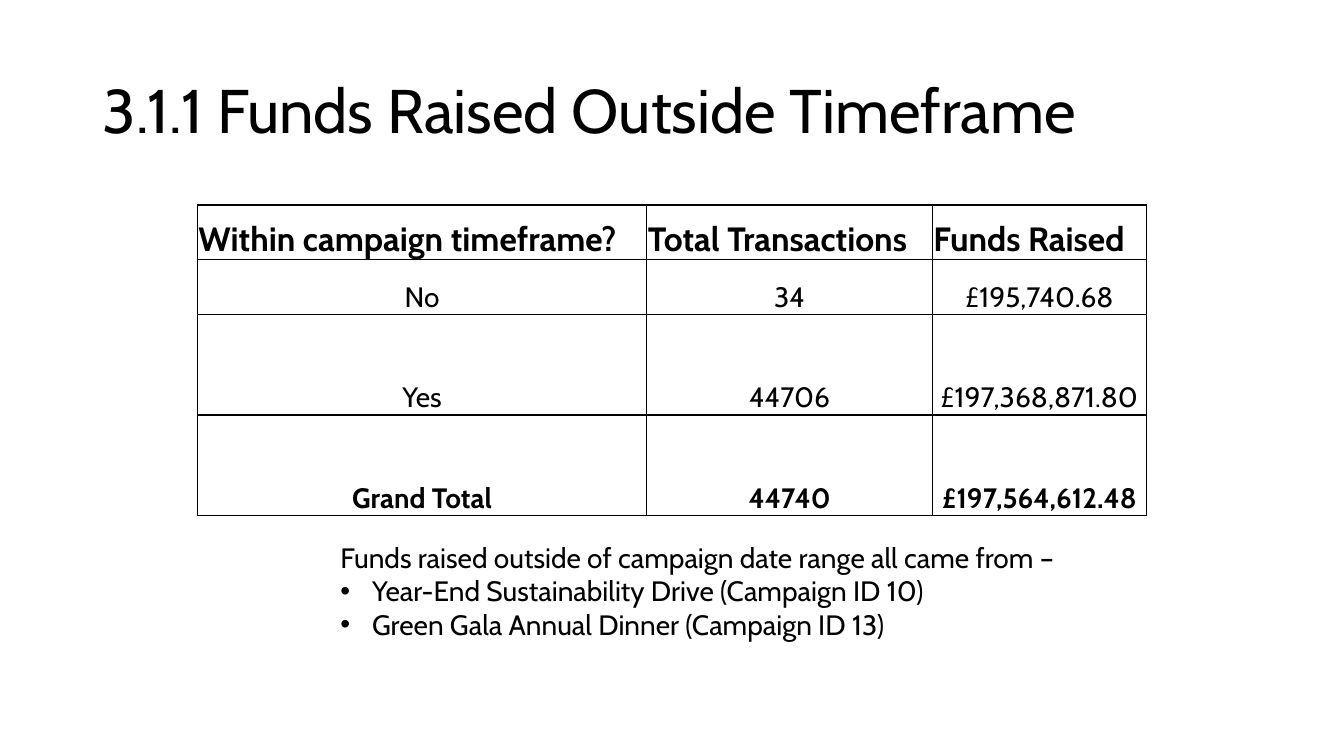
from lxml.etree import SubElement
from pptx import Presentation
from pptx.dml.color import RGBColor
from pptx.enum.text import MSO_ANCHOR, MSO_AUTO_SIZE, PP_ALIGN
from pptx.oxml.ns import qn
from pptx.util import Pt

# Content
TITLE = "3.1.1 Funds Raised Outside Timeframe"
FUNDS = [
    ("Within campaign timeframe?", "Total Transactions", "Funds Raised"),
    ("No", "34", "£195,740.68"),
    ("Yes", "44706", "£197,368,871.80"),
    ("Grand Total", "44740", "£197,564,612.48"),
]
NOTE = "Funds raised outside of campaign date range all came from –"
CAMPAIGNS = [
    "Year-End Sustainability Drive (Campaign ID 10)",
    "Green Gala Annual Dinner (Campaign ID 13)",
]

# Style and layout, in points
FONT = "Cabin"
BLACK = RGBColor(0, 0, 0)
WHITE = RGBColor(255, 255, 255)
COLUMN_WIDTHS = [321, 204, 153]
ROW_HEIGHTS = [39, 39, 72, 72]
TABLE_LEFT, TABLE_TOP = 141, 146.5
BULLET_INDENT = 22.5


def style(paragraph, size, bold=False):
    font = paragraph.font
    font.name, font.size, font.bold = FONT, Pt(size), bold
    font.color.rgb = BLACK


def place(shape, left, top, width, height):
    shape.left, shape.top = Pt(left), Pt(top)
    shape.width, shape.height = Pt(width), Pt(height)
    shape.text_frame.auto_size = MSO_AUTO_SIZE.NONE
    shape.text_frame.word_wrap = True


def add_borders(cell):
    properties = cell._tc.get_or_add_tcPr()
    for side in ("lnL", "lnR", "lnT", "lnB"):
        line = SubElement(properties, qn("a:" + side), w=str(Pt(1)))
        fill = SubElement(line, qn("a:solidFill"))
        SubElement(fill, qn("a:srgbClr"), val=str(BLACK))


presentation = Presentation()
presentation.slide_width, presentation.slide_height = Pt(960), Pt(540)
slide = presentation.slides.add_slide(presentation.slide_layouts[1])

# Title
title = slide.shapes.title
place(title, 66, 28.75, 828, 104.4)
title.text_frame.text = TITLE
title.text_frame.vertical_anchor = MSO_ANCHOR.MIDDLE
heading = title.text_frame.paragraphs[0]
heading.alignment = PP_ALIGN.LEFT
heading.line_spacing = 0.9
style(heading, 44)

# Funds table
table = slide.shapes.add_table(
    len(FUNDS), len(COLUMN_WIDTHS), Pt(TABLE_LEFT), Pt(TABLE_TOP),
    Pt(sum(COLUMN_WIDTHS)), Pt(sum(ROW_HEIGHTS))).table
for column, width in zip(table.columns, COLUMN_WIDTHS):
    column.width = Pt(width)
for row, height in zip(table.rows, ROW_HEIGHTS):
    row.height = Pt(height)

for row_index, values in enumerate(FUNDS):
    is_header = row_index == 0
    is_total = row_index == len(FUNDS) - 1
    for column_index, value in enumerate(values):
        cell = table.cell(row_index, column_index)
        add_borders(cell)
        cell.fill.solid()
        cell.fill.fore_color.rgb = WHITE
        cell.margin_left = cell.margin_right = cell.margin_top = Pt(0.75)
        cell.margin_bottom = Pt(0)
        cell.vertical_anchor = MSO_ANCHOR.BOTTOM
        cell.text = value
        paragraph = cell.text_frame.paragraphs[0]
        paragraph.alignment = PP_ALIGN.LEFT if is_header else PP_ALIGN.CENTER
        style(paragraph, 24 if is_header else 20, is_header or is_total)

# Note with the campaign list
body = slide.placeholders[1]
place(body, 236, 382.3, 541, 101.5)
body.text_frame.text = "\n".join([NOTE, *CAMPAIGNS])
for index, paragraph in enumerate(body.text_frame.paragraphs):
    is_bullet = index > 0
    paragraph.space_before = Pt(0)
    properties = paragraph._p.get_or_add_pPr()
    properties.set("marL", str(Pt(BULLET_INDENT if is_bullet else 0)))
    properties.set("indent", str(Pt(-BULLET_INDENT if is_bullet else 0)))
    if is_bullet:
        SubElement(properties, qn("a:buFont"), typeface="Arial")
        SubElement(properties, qn("a:buChar"), char="•")
    else:
        SubElement(properties, qn("a:buNone"))
    style(paragraph, 20)

presentation.save("out.pptx")
